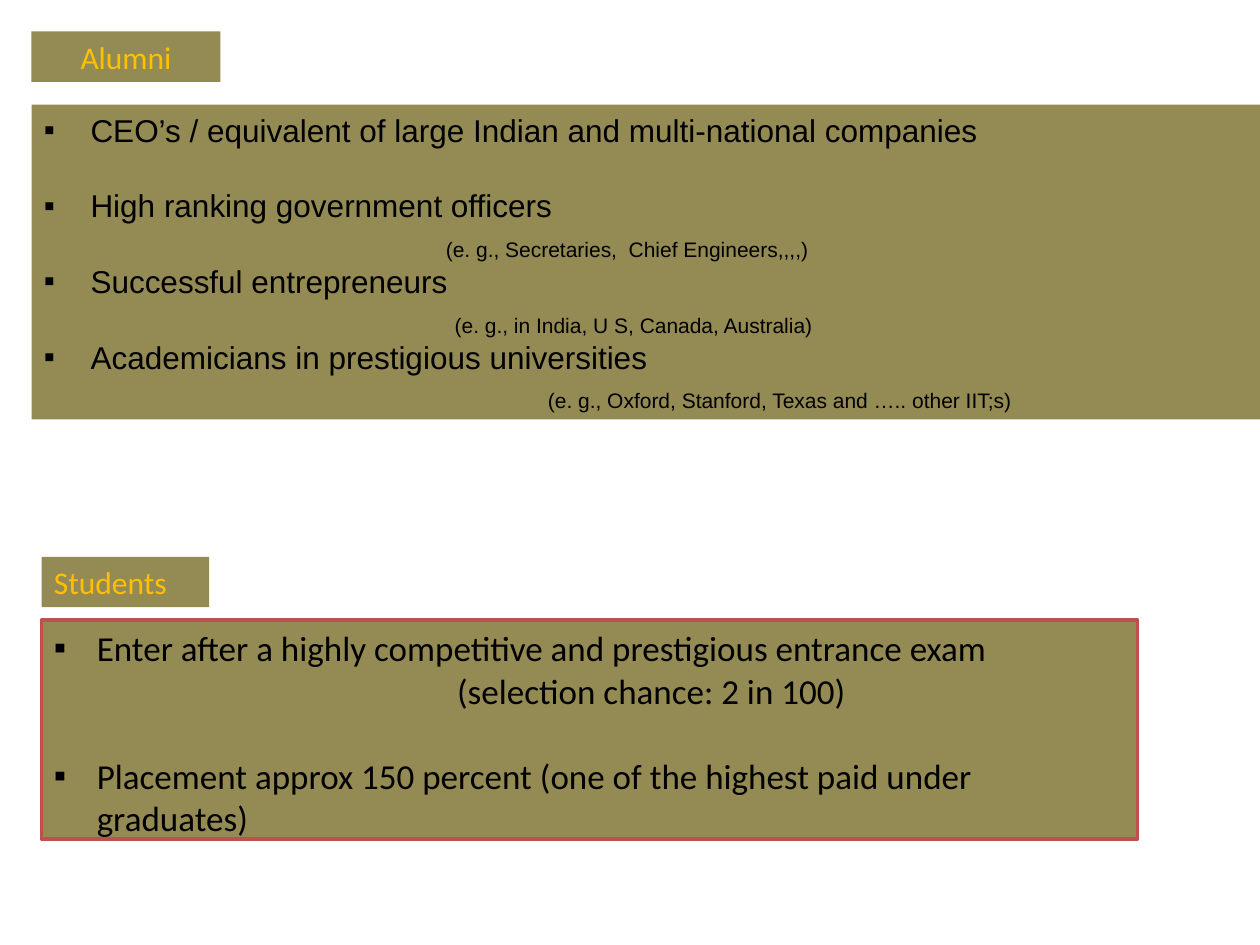
from lxml import etree
from pptx import Presentation
from pptx import util as u
from pptx.dml.color import RGBColor
from pptx.enum import shapes, text
from pptx.oxml import ns

COLORS = {"olive": "948A54", "gold": "FFC000", "black": "000000", "red": "C0504D"}

ALUMNI = [
    ("CEO’s / equivalent of large Indian and multi-national companies", None, 0),
    ("High ranking government officers", "(e. g., Secretaries,  Chief Engineers,,,,)", 3.19),
    ("Successful entrepreneurs", "(e. g., in India, U S, Canada, Australia)", 3.26),
    ("Academicians in prestigious universities",
     "(e. g., Oxford, Stanford, Texas and ….. other IIT;s)", 4),
]
STUDENTS = [
    ("Enter after a highly competitive and prestigious entrance exam",
     "(selection chance: 2 in 100)", 3.2),
    ("Placement approx 150 percent (one of the highest paid under graduates)", None, 0),
]


def color(name):
    """Return the named palette colour."""
    return RGBColor.from_string(COLORS[name])


def add_panel(page, box, border=None):
    """Add an olive rectangle with top-anchored text and return it."""
    panel = page.shapes.add_shape(shapes.MSO_SHAPE.RECTANGLE, *map(u.Inches, box))
    panel.shadow.inherit = False
    panel.fill.solid()
    panel.fill.fore_color.rgb = color("olive")
    if border:
        panel.line.color.rgb = color(border)
        panel.line.width = u.Pt(2)
    else:
        panel.line.fill.background()
    panel.text_frame.word_wrap = True
    panel.text_frame.vertical_anchor = text.MSO_ANCHOR.TOP
    return panel


def write(para, words, font, size, ink, align=text.PP_ALIGN.LEFT):
    """Fill a paragraph and format its text."""
    para.text = words
    para.alignment = align
    for span in para.runs:
        span.font.name = font
        span.font.size = u.Pt(size)
        span.font.color.rgb = color(ink)


def indent(para, left, hanging=0):
    """Set the left margin and hanging indent of a paragraph."""
    props = para._p.get_or_add_pPr()
    props.set("marL", str(u.Inches(left)))
    props.set("indent", str(-u.Inches(hanging)))
    return props


def add_bullet(para, hanging):
    """Give a paragraph a black square bullet."""
    props = indent(para, hanging, hanging)
    tint = etree.SubElement(props, ns.qn("a:buClr"))
    etree.SubElement(tint, ns.qn("a:srgbClr"), val=COLORS["black"])
    etree.SubElement(props, ns.qn("a:buFont"), typeface="Arial")
    etree.SubElement(props, ns.qn("a:buChar"), char="▪")


def add_label(page, box, words, align):
    """Add a small section label."""
    panel = add_panel(page, box)
    write(panel.text_frame.paragraphs[0], words, "Calibri", 18, "gold", align)


def add_list(page, box, items, font, size, note_size, pitch, hanging, border=None):
    """Add a panel of bullets, each with an indented note or a gap below it."""
    frame = add_panel(page, box, border).text_frame
    for number, (words, note, note_left) in enumerate(items):
        para = frame.add_paragraph() if number else frame.paragraphs[0]
        write(para, words, font, size, "black")
        para.line_spacing = u.Pt(pitch)
        last = number == len(items) - 1
        if not note and not last:
            para.space_after = u.Pt(pitch)
        add_bullet(para, hanging)
        if note:
            remark = frame.add_paragraph()
            write(remark, note, font, note_size, "black")
            remark.line_spacing = u.Pt(pitch)
            if border and not last:
                remark.space_after = u.Pt(pitch)
            indent(remark, note_left)


def main():
    """Build the slide and save it."""
    deck = Presentation()
    deck.slide_width, deck.slide_height = u.Inches(10), u.Inches(7.5)
    page = deck.slides.add_slide(deck.slide_layouts[6])
    add_label(page, (0.25, 0.25, 1.5, 0.4), "Alumni", text.PP_ALIGN.CENTER)
    add_list(page, (0.25, 0.83, 9.75, 2.5), ALUMNI, "Arial", 18, 12, 21.6, 0.37)
    add_list(page, (0.33, 4.92, 8.7, 1.74), STUDENTS, "Calibri", 20, 20, 24.3, 0.34, "red")
    add_label(page, (0.33, 4.42, 1.33, 0.4), "Students", text.PP_ALIGN.LEFT)
    deck.save("out.pptx")


if __name__ == "__main__":
    main()
